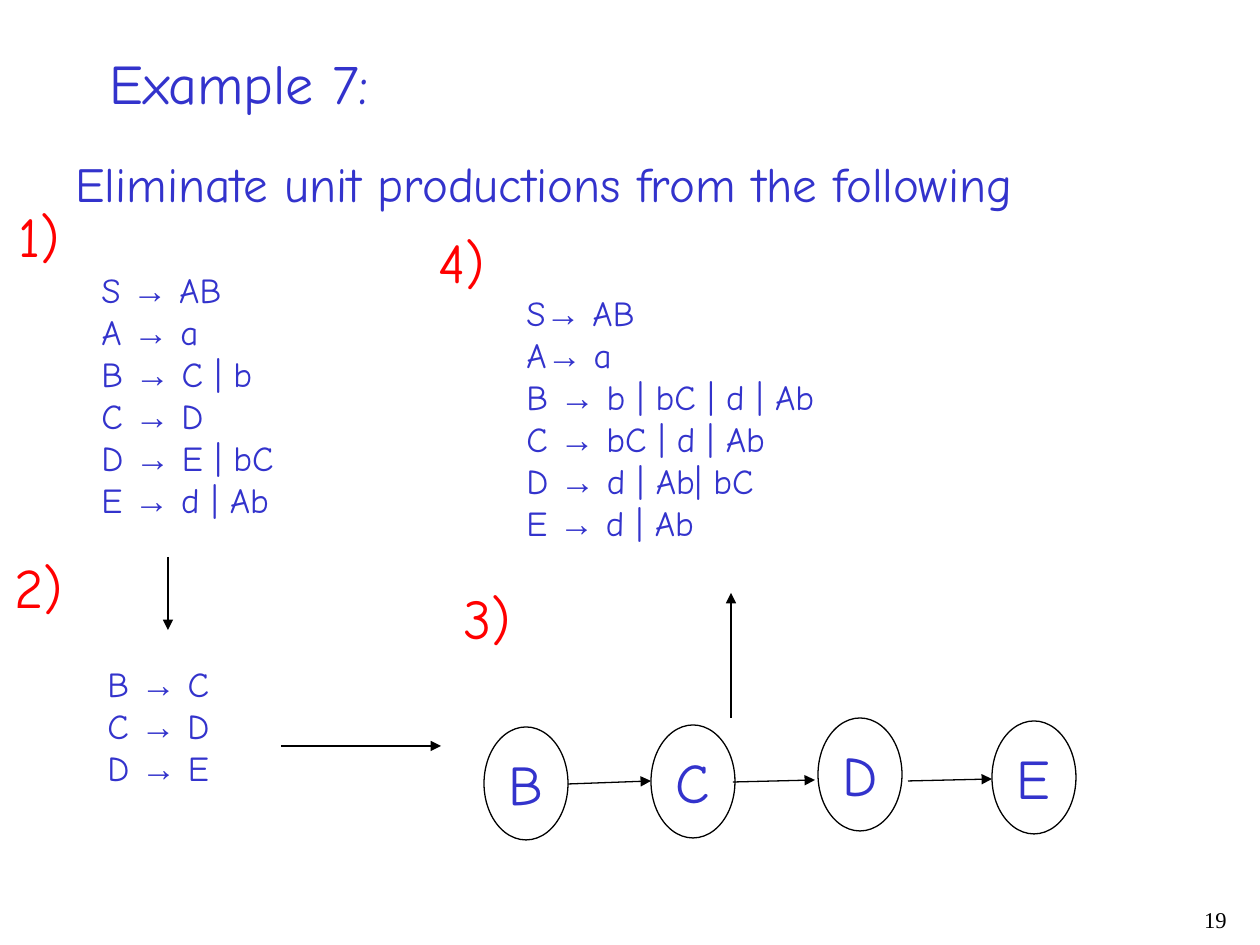
"""Build the slide on eliminating unit productions from a grammar."""
from dataclasses import dataclass

from lxml import etree
from pptx import Presentation
from pptx.dml.color import RGBColor
from pptx.enum.shapes import MSO_CONNECTOR, MSO_SHAPE
from pptx.enum.text import MSO_ANCHOR, MSO_AUTO_SIZE, PP_ALIGN
from pptx.oxml.ns import qn
from pptx.slide import Slide
from pptx.text.text import TextFrame
from pptx.util import Emu, Pt

STRAIGHT = MSO_CONNECTOR.STRAIGHT
ELLIPSE = MSO_SHAPE.OVAL
TOP = MSO_ANCHOR.TOP
GROW, FIXED = MSO_AUTO_SIZE.SHAPE_TO_FIT_TEXT, MSO_AUTO_SIZE.NONE
LEFT, RIGHT = PP_ALIGN.LEFT, PP_ALIGN.RIGHT

PX_PER_INCH = 126
BLUE = RGBColor(0x33, 0x33, 0xCC)
RED = RGBColor(0xFF, 0x00, 0x00)
BLACK = RGBColor(0x00, 0x00, 0x00)
HAND_FONT, ARROW_FONT, NUMBER_FONT = "Comic Neue", "Arial", "Times New Roman"
LINE_WIDTH = Pt(0.75)
NODE_WIDTH, NODE_HEIGHT = 84, 113
STEP_WIDTH, STEP_HEIGHT = 78, 81


@dataclass(frozen=True)
class TextBlock:
    left: int
    top: int
    width: int
    height: int
    lines: tuple[str, ...]
    size: float = 20
    color: RGBColor = BLUE
    font: str = HAND_FONT
    wrap: bool = True


@dataclass(frozen=True)
class Step:
    label: str
    left: int
    top: int


@dataclass(frozen=True)
class Node:
    name: str
    left: int
    top: int


@dataclass(frozen=True)
class Arrow:
    start_x: int
    start_y: int
    end_x: int
    end_y: int


TITLE = TextBlock(97, 42, 286, 81, ("Example 7:",), size=32, wrap=False)
TASK = TextBlock(63, 147, 1176, 72,
                 ("Eliminate unit productions from the following",), size=28)
GRAMMAR = TextBlock(89, 262, 198, 265, (
    "S → AB", "A → a", "B → C | b", "C → D", "D → E | bC", "E → d | Ab"),
    wrap=False)
UNIT_PRODUCTIONS = TextBlock(95, 656, 146, 139, ("B → C", "C → D", "D → E"))
RESULT = TextBlock(514, 285, 640, 265, (
    "S→ AB", "A→ a", "B → b | bC | d | Ab", "C → bC | d | Ab",
    "D → d | Ab| bC", "E → d | Ab"))
PAGE_NUMBER = TextBlock(977, 903, 262, 42, ("19",), size=12.9, color=BLACK,
                        font=NUMBER_FONT)
STEPS = (Step("1)", 6, 195), Step("2)", 2, 546),
         Step("3)", 451, 577), Step("4)", 426, 221))
NODES = (Node("B", 484, 727), Node("C", 651, 725),
         Node("D", 818, 718), Node("E", 992, 721))
ARROWS = (
    Arrow(168, 557, 168, 630),
    Arrow(281, 746, 441, 746),
    Arrow(731, 718, 731, 593),
    Arrow(568, 784, 651, 781),
    Arrow(733, 782, 815, 780),
    Arrow(908, 781, 992, 779),
)


def px(length: int) -> Emu:
    """Turn slide pixels into EMU."""
    return Emu(round(length * 914400 / PX_PER_INCH))


def write_lines(frame: TextFrame, block: TextBlock, align: PP_ALIGN) -> None:
    """Write one paragraph a line, with each arrow in its own font."""
    frame.word_wrap = block.wrap
    frame.vertical_anchor = TOP
    frame.text = "\n".join(block.lines)
    for para, line in zip(frame.paragraphs, block.lines):
        para.alignment = align
        para.text = ""
        for piece in filter(None, line.partition("→")):
            span = para.add_run()
            span.text = piece
            span.font.name = ARROW_FONT if piece == "→" else block.font
            span.font.size = Pt(block.size)
            span.font.color.rgb = block.color


def add_text(page: Slide, block: TextBlock, align: PP_ALIGN = LEFT) -> TextFrame:
    """Add a text box holding the lines of a block."""
    box = page.shapes.add_textbox(px(block.left), px(block.top),
                                  px(block.width), px(block.height))
    write_lines(box.text_frame, block, align)
    box.text_frame.auto_size = GROW
    return box.text_frame


def add_step(page: Slide, step: Step) -> None:
    """Add a red step number."""
    add_text(page, TextBlock(step.left, step.top, STEP_WIDTH, STEP_HEIGHT,
                             (step.label,), size=32, color=RED))


def add_node(page: Slide, node: Node) -> None:
    """Add an outlined ellipse with the name of a variable."""
    block = TextBlock(node.left, node.top, NODE_WIDTH, NODE_HEIGHT,
                      (node.name,), size=32, wrap=False)
    ellipse = page.shapes.add_shape(ELLIPSE, px(block.left), px(block.top),
                                    px(block.width), px(block.height))
    ellipse.shadow.inherit = False
    ellipse.fill.background()
    ellipse.line.color.rgb = BLACK
    ellipse.line.width = LINE_WIDTH
    write_lines(ellipse.text_frame, block, LEFT)


def add_arrow(page: Slide, arrow: Arrow) -> None:
    """Add a straight line with a triangle at its end."""
    line = page.shapes.add_connector(STRAIGHT, px(arrow.start_x), px(arrow.start_y),
                                     px(arrow.end_x), px(arrow.end_y))
    line.line.color.rgb = BLACK
    line.line.width = LINE_WIDTH
    properties = line._element.spPr
    etree.SubElement(properties.find(qn("a:ln")), qn("a:tailEnd"), type="triangle")
    etree.SubElement(properties, qn("a:effectLst"))


def main() -> None:
    """Build and save the deck."""
    deck = Presentation()
    deck.slide_width, deck.slide_height = px(1260), px(945)
    page = deck.slides.add_slide(deck.slide_layouts[6])
    for block in (TITLE, TASK, GRAMMAR, UNIT_PRODUCTIONS, RESULT):
        add_text(page, block)
    for step in STEPS:
        add_step(page, step)
    for node in NODES:
        add_node(page, node)
    for arrow in ARROWS:
        add_arrow(page, arrow)
    number = add_text(page, PAGE_NUMBER, RIGHT)
    number.auto_size = FIXED
    number.paragraphs[0].line_spacing = 0.9
    deck.save("out.pptx")


if __name__ == "__main__":
    main()
